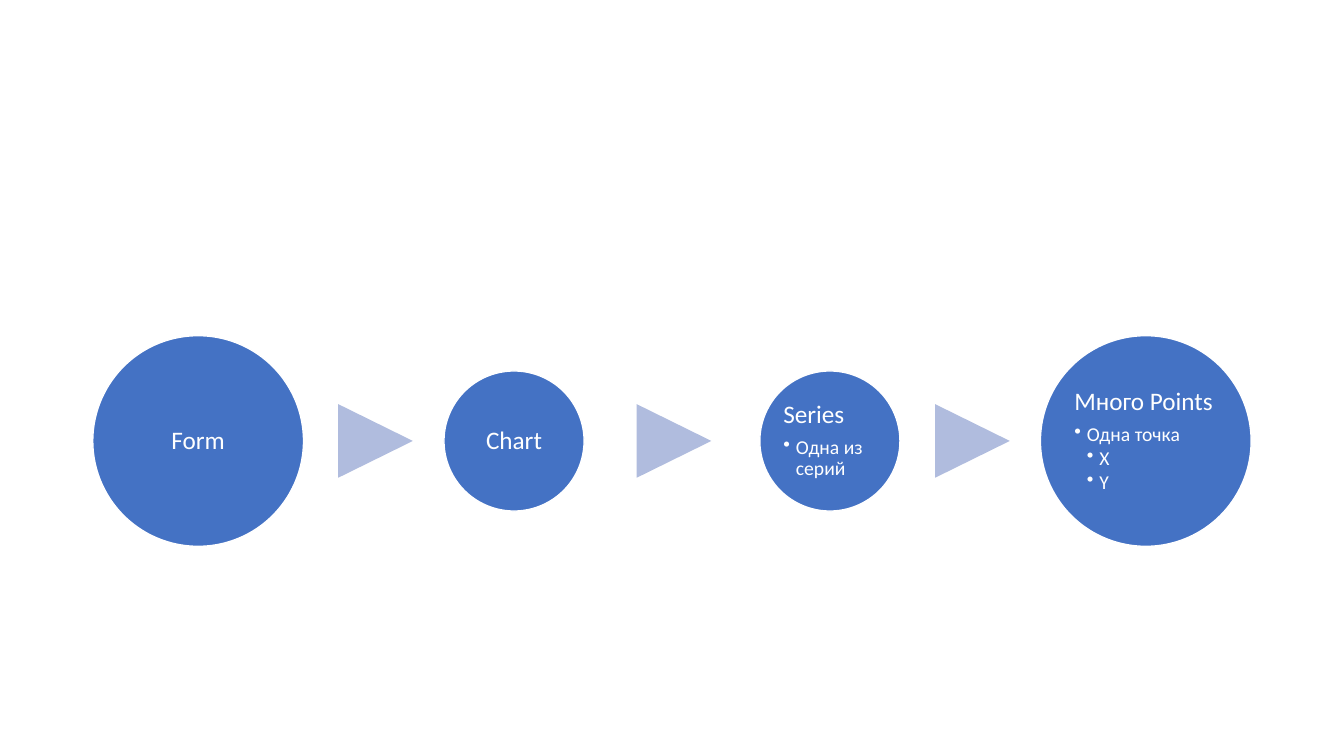
from lxml import etree
from pptx import Presentation
from pptx.dml.color import RGBColor
from pptx.enum.shapes import MSO_SHAPE
from pptx.enum.text import MSO_ANCHOR, PP_ALIGN
from pptx.oxml.ns import qn
from pptx.util import Inches, Pt

ELLIPSE = MSO_SHAPE.OVAL
TRIANGLE = MSO_SHAPE.ISOSCELES_TRIANGLE
MIDDLE = MSO_ANCHOR.MIDDLE
CENTER, LEFT = PP_ALIGN.CENTER, PP_ALIGN.LEFT

COLORS = {"circle": "4472C4", "arrow": "B0BCDE", "white": "FFFFFF"}
FONT = "Calibri"
ROW_Y = 4.375
LARGE, SMALL = 2.09, 1.39
FIRST_CIRCLE_X, CIRCLE_STEP = 1.965, 3.133
FIRST_ARROW_X, ARROW_STEP = 3.725, 2.96
BULLET_INDENT = 0.125

# Each stage: diameter, then (level, text) lines
STAGES = [
    (LARGE, [(0, "Form")]),
    (SMALL, [(0, "Chart")]),
    (SMALL, [(0, "Series"), (1, "Одна из серий")]),
    (LARGE, [(0, "Много Points"), (1, "Одна точка"), (2, "X"), (2, "Y")]),
]


def color(name):
    return RGBColor.from_string(COLORS[name])


def add_centered_shape(page, kind, x, width, height, fill):
    """Add a filled shape whose centre lies on the row at x."""
    shape = page.shapes.add_shape(
        kind, Inches(x - width / 2), Inches(ROW_Y - height / 2),
        Inches(width), Inches(height))
    shape.shadow.inherit = False
    shape.fill.solid()
    shape.fill.fore_color.rgb = color(fill)
    return shape


def add_bullet(para, level):
    para.level = level
    properties = para._p.get_or_add_pPr()
    properties.set("marL", str(Inches(BULLET_INDENT * level)))
    properties.set("indent", str(-Inches(BULLET_INDENT)))
    etree.SubElement(properties, qn("a:buChar")).set("char", "•")


def write_line(para, level, text, alignment):
    size, gap = (14, 0.15) if level else (18, 0.35)
    para.text = text
    para.alignment = alignment
    para.line_spacing = 0.9
    para.space_after = Pt(size * gap)
    if level:
        add_bullet(para, level)
    para.font.name = FONT
    para.font.size = Pt(size)
    para.font.color.rgb = color("white")


def add_stage(page, x, diameter, lines):
    circle = add_centered_shape(page, ELLIPSE, x, diameter, diameter, "circle")
    circle.line.color.rgb = color("white")
    circle.line.width = Pt(1)
    frame = circle.text_frame
    frame.word_wrap = True
    frame.vertical_anchor = MIDDLE
    frame.margin_left = frame.margin_right = Inches(0.03)
    frame.margin_top = frame.margin_bottom = Inches(0.03)
    alignment = CENTER if len(lines) == 1 else LEFT
    for index, (level, text) in enumerate(lines):
        para = frame.add_paragraph() if index else frame.paragraphs[0]
        write_line(para, level, text, alignment)


def add_arrow(page, x):
    arrow = add_centered_shape(page, TRIANGLE, x, 0.73, 0.74, "arrow")
    arrow.rotation = 90
    arrow.line.fill.background()


def main():
    deck = Presentation()
    deck.slide_width, deck.slide_height = Inches(13.33), Inches(7.5)
    page = deck.slides.add_slide(deck.slide_layouts[6])
    for index, (diameter, lines) in enumerate(STAGES):
        add_stage(page, FIRST_CIRCLE_X + index * CIRCLE_STEP, diameter, lines)
        if index < len(STAGES) - 1:
            add_arrow(page, FIRST_ARROW_X + index * ARROW_STEP)
    deck.save("out.pptx")


if __name__ == "__main__":
    main()
